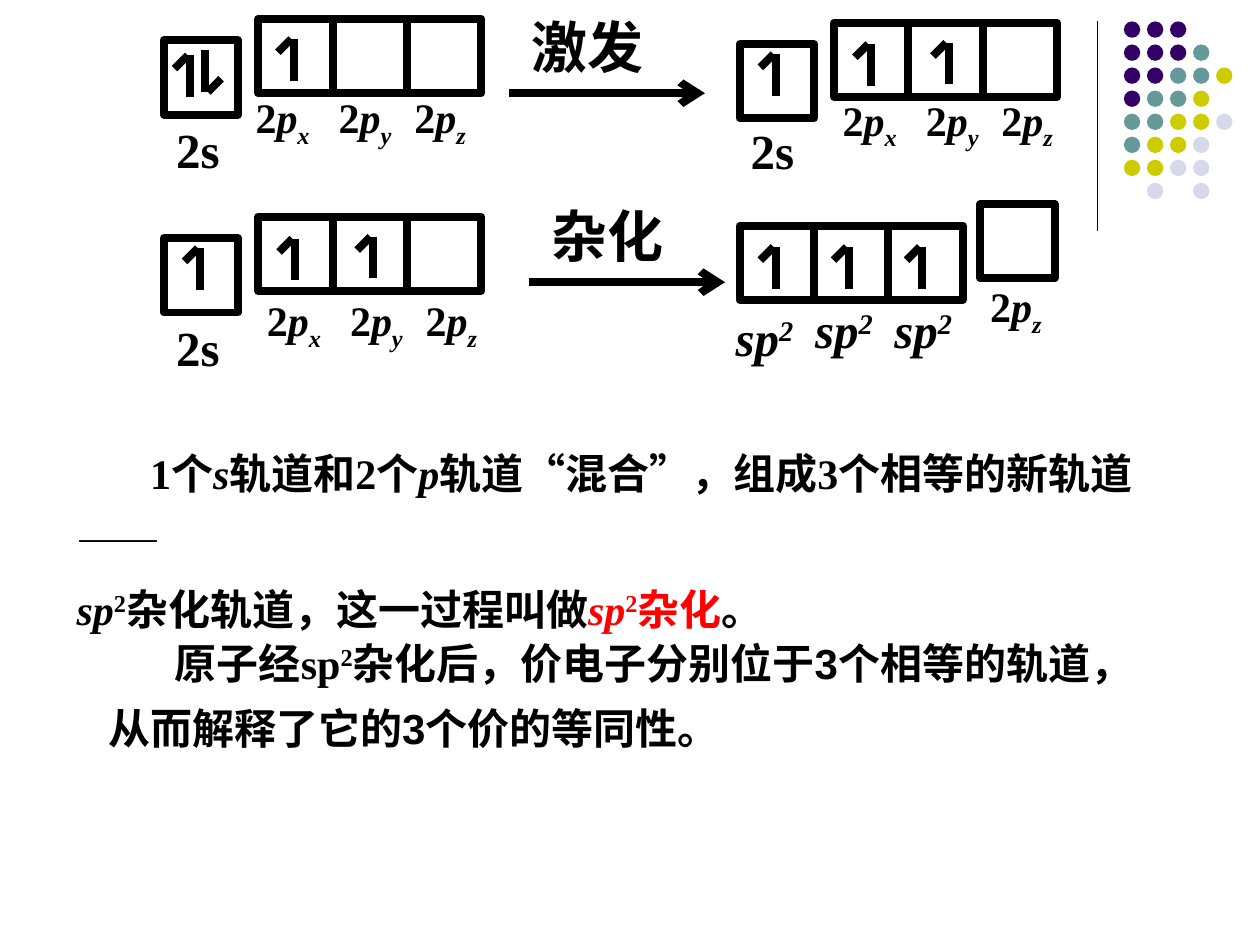
from lxml.etree import SubElement
from pptx import Presentation
from pptx.dml.color import RGBColor
from pptx.enum.shapes import MSO_CONNECTOR, MSO_SHAPE
from pptx.oxml.ns import qn
from pptx.util import Inches, Pt

prs = Presentation()
prs.slide_width, prs.slide_height = Inches(10), Inches(7.5)
unit = prs.slide_width // 100
slide = prs.slides.add_slide(prs.slide_layouts[6])
shapes = slide.shapes
color = RGBColor.from_string


def add_line(x1, y1, x2, y2, weight=4.5, arrow=False):
    ends = [round(v * unit) for v in (x1, y1, x2, y2)]
    line = shapes.add_connector(MSO_CONNECTOR.STRAIGHT, *ends)
    line.line.color.rgb = color("000000")
    line.line.width = Pt(weight)
    if arrow:
        SubElement(line.line._get_or_add_ln(), qn("a:tailEnd"), type="arrow")
    SubElement(line._element.spPr, qn("a:effectLst"))


def add_text(x, y, w, h, paragraphs, size, font="Times New Roman", wrap=True, spacing=None, indent=0):
    area = [round(v * unit) for v in (x, y, w, h)]
    frame = shapes.add_textbox(*area).text_frame
    frame.word_wrap = wrap
    for number, runs in enumerate(paragraphs):
        paragraph = frame.add_paragraph() if number else frame.paragraphs[0]
        paragraph.line_spacing = spacing
        if indent and number == 0:
            paragraph._p.get_or_add_pPr().set("indent", str(round(indent * unit)))
        for text, style in runs:
            run = paragraph.add_run()
            run.text = text
            run.font.name = "Times New Roman" if "t" in style else font
            run.font.size = Pt(size)
            run.font.bold = True
            run.font.italic = "i" in style
            run.font.color.rgb = color("FF0000" if "r" in style else "000000")
            if "^" in style or "_" in style:
                run._r.get_or_add_rPr().set("baseline", "30000" if "^" in style else "-25000")


add_line(87.1, 1.7, 87.1, 18.3, weight=0.75)
dot_colors = {"P": "330066", "T": "669999", "Y": "CCCC00", "L": "D8D8EC"}
dot_rows = ["PPP", "PPPT", "PPTTY", "PTTY", "TTYYL", "TYYL", "YYLL", " L L"]
for row, letters in enumerate(dot_rows):
    for column, letter in enumerate(letters):
        if letter in dot_colors:
            area = (89.2 + 1.83 * column, 1.7 + 1.83 * row, 1.3, 1.3)
            dot = shapes.add_shape(MSO_SHAPE.OVAL, *[round(v * unit) for v in area])
            dot.shadow.inherit = False
            dot.fill.solid()
            dot.fill.fore_color.rgb = color(dot_colors[letter])
            dot.line.fill.background()

cell = 5.9
orbitals = [
    (13, 3.2, 1), (20.5, 1.5, 3), (58.7, 3.5, 1), (66.2, 1.8, 3),
    (13, 18.9, 1), (20.5, 17.2, 3), (58.7, 17.9, 3), (77.8, 16.2, 1),
]
for x, y, cells in orbitals:
    area = (x, y, cell * cells, cell)
    orbital = shapes.add_shape(MSO_SHAPE.RECTANGLE, *[round(v * unit) for v in area])
    orbital.shadow.inherit = False
    orbital.fill.background()
    orbital.line.color.rgb = color("000000")
    orbital.line.width = Pt(4.5)
    for divider in range(1, cells):
        add_line(x + cell * divider, y, x + cell * divider, y + cell)

spins = [
    (15.1, 4.4, 1), (16.3, 7.3, -1), (23.3, 3.1, 1),
    (61.6, 4.3, 1), (69.1, 3.5, 1), (75.3, 3.4, 1),
    (15.9, 19.7, 1), (23.4, 18.95, 1), (29.6, 18.8, 1),
    (61.6, 19.6, 1), (67.4, 19.6, 1), (73.2, 19.6, 1),
]
for x, y, direction in spins:
    add_line(x - 0.2 * direction, y, x - 1.25 * direction, y + 1.05 * direction)
    add_line(x, y, x, y + 3.3 * direction)

for x, y, step in [(40.4, 7.4, "激发"), (42, 22.4, "杂化")]:
    add_line(x, y, x + 15.55, y, arrow=True)
    add_text(x + 0.8, y - 6.9, 16.7, 6.3, [[(step, "")]], 32)

for x, y in [(13, 9), (58.6, 9.1), (13, 24.7)]:
    add_text(x, y, 7.1, 5.7, [[("2s", "")]], 28)

p_labels = [(77.6, 21.8, "z")]
for x, y in [(19.3, 6.8), (65.9, 7), (20.2, 22.9)]:
    p_labels += [(x, y, "x"), (x + 6.6, y, "y"), (x + 12.6, y, "z")]
for x, y, axis in p_labels:
    add_text(x, y, 6.3, 5, [[("2", ""), ("p", "i"), (axis, "i_")]], 24, wrap=False)

for x, y in [(57.4, 23.9), (63.7, 23.3), (70, 23.3)]:
    add_text(x, y, 6.8, 5.7, [[("sp", "i"), ("2", "i^")]], 28, wrap=False)

mixing = [
    [("1个", ""), ("s", "i"), ("轨道和2个", ""), ("p", "i"),
     ("轨道“混合”，组成3个相等的新轨道——", "")],
    [("sp", "i"), ("2", "^"), ("杂化轨道，这一过程叫做", ""),
     ("sp", "ir"), ("2", "r^"), ("杂化", "r"), ("。", "")],
]
add_text(5.1, 33.6, 88, 11.8, mixing, 24, spacing=1.35, indent=5.83)

equivalence = [
    [("原子经", ""), ("sp", "t"), ("2", "t^"), ("杂化后，价电子分别位于3个相等的轨道，", "")],
    [("从而解释了它的3个价的等同性。", "")],
]
add_text(7.6, 48.9, 88, 11.4, equivalence, 24, font="Arial", spacing=1.3, indent=5.3)

prs.save("out.pptx")
